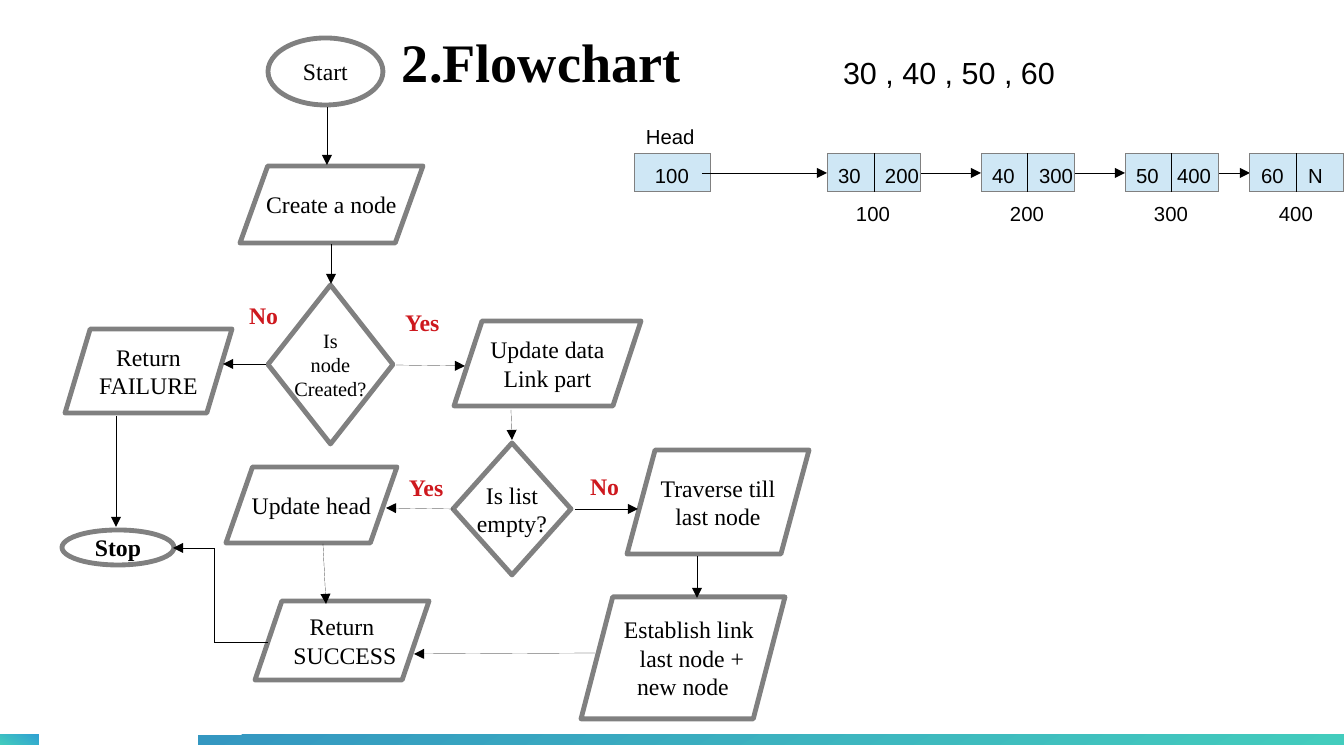
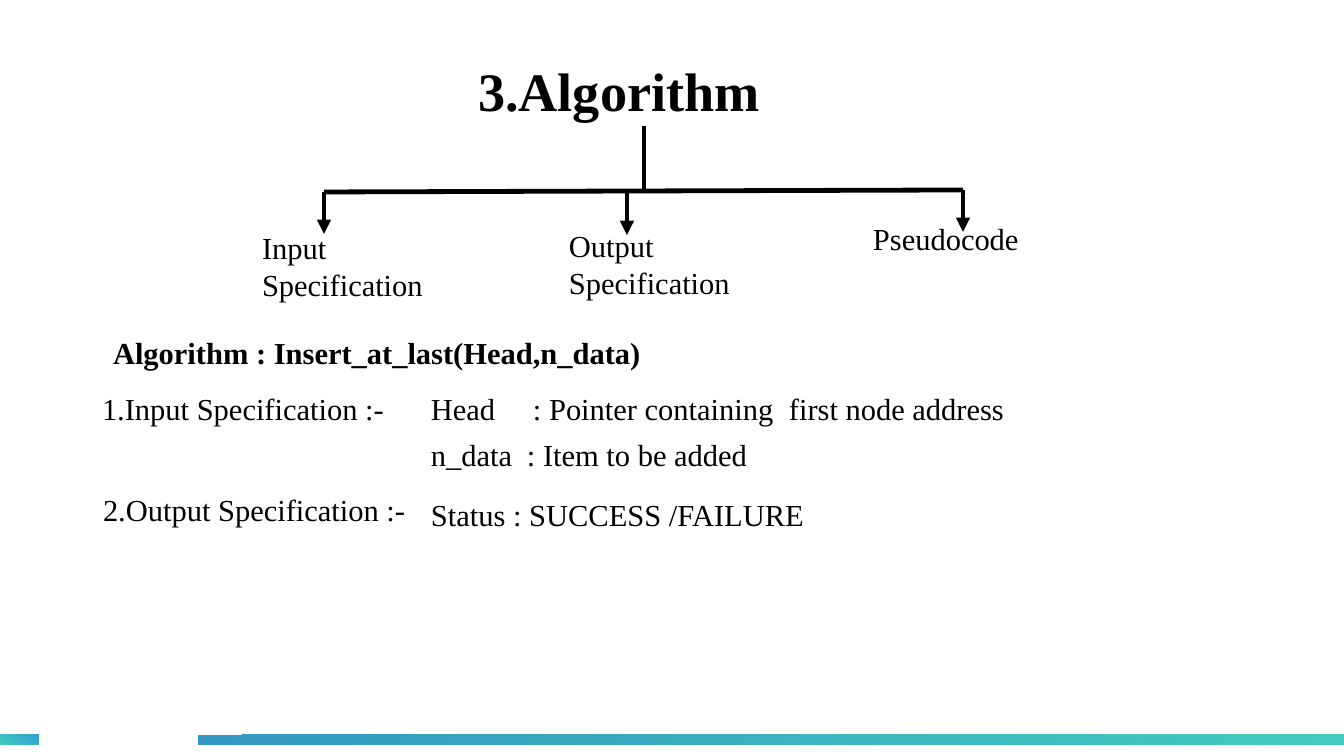
from dataclasses import dataclass
from itertools import pairwise

from lxml.etree import SubElement
from pptx import Presentation
from pptx.dml.color import RGBColor
from pptx.enum.shapes import MSO_CONNECTOR, MSO_SHAPE
from pptx.enum.text import MSO_ANCHOR, PP_ALIGN
from pptx.oxml.ns import qn
from pptx.util import Emu, Pt


@dataclass(frozen=True)
class Theme:
    serif: str = "Times New Roman"
    sans: str = "Arial"
    ink: str = "000000"
    paper: str = "FFFFFF"
    edge: str = "808080"
    cell: str = "CFE7F5"
    alert: str = "CE181E"
    mint: str = "43CCBD"
    sky: str = "30A2D2"
    blue: str = "3497C1"
    title: int = 32
    body: int = 18
    step: int = 14
    note: int = 12
    thick: float = 2.83


T = Theme()
WIDE, HIGH = 1344, 756


def px(n):
    return Emu(n * 7495)


def rgb(code):
    return RGBColor.from_string(code)


# Text
def write(frame, lines, size, face=T.serif, tone=T.ink, bold=False,
          align=PP_ALIGN.LEFT, tabs=()):
    """Each line is a string, or a pair of string and left margin."""
    for i, line in enumerate(lines):
        text, shift = (line, 0) if isinstance(line, str) else line
        para = frame.paragraphs[0] if i == 0 else frame.add_paragraph()
        para.text = text
        para.alignment = align
        props = para._p.get_or_add_pPr()
        if shift:
            props.set("marL", str(px(shift)))
        if tabs:
            stops = SubElement(props, qn("a:tabLst"))
            for tab in tabs:
                SubElement(stops, qn("a:tab"), pos=str(px(tab)), algn="l")
        font = para.font
        font.name, font.size, font.bold = face, Pt(size), bold
        font.color.rgb = rgb(tone)


def label(slide, text, x, y, w, h=38, size=T.body, **style):
    frame = slide.shapes.add_textbox(*map(px, (x, y, w, h))).text_frame
    frame.word_wrap = True
    write(frame, [text], size, **style)
    return frame


def title(slide, text, x, y, w, h):
    frame = label(slide, text, x, y, w, h, T.title, bold=True)
    frame.vertical_anchor = MSO_ANCHOR.MIDDLE
    frame.margin_left = frame.margin_right = 0
    frame.margin_top = frame.margin_bottom = 0


# Shapes and lines
def stroke(item, tone, width):
    """Write the width out even at 0, where it means a hairline."""
    item.line.color.rgb = rgb(tone)
    edge = item._element.spPr.find(qn("a:ln"))
    edge.set("w", str(Pt(width)))
    return edge


def block(slide, kind, x, y, w, h, fill=T.paper, width=0):
    shape = slide.shapes.add_shape(kind, *map(px, (x, y, w, h)))
    shape.shadow.inherit = False
    shape.fill.solid()
    shape.fill.fore_color.rgb = rgb(fill)
    stroke(shape, T.edge, width)
    return shape


def step(slide, kind, box, lines, slant=None, size=T.step, bold=False):
    shape = block(slide, kind, *box, width=2.86)
    if slant:
        shape.adjustments[0] = slant
    frame = shape.text_frame
    frame.word_wrap = False
    frame.vertical_anchor = MSO_ANCHOR.MIDDLE
    frame.margin_left = frame.margin_right = px(2)
    frame.margin_top = frame.margin_bottom = px(2)
    write(frame, lines, size, bold=bold, align=PP_ALIGN.CENTER)


def line(slide, x1, y1, x2, y2, width=0, head=True, bend=None):
    kind = MSO_CONNECTOR.ELBOW if bend else MSO_CONNECTOR.STRAIGHT
    link = slide.shapes.add_connector(kind, *map(px, (x1, y1, x2, y2)))
    edge = stroke(link, T.ink, width)
    props = link._element.spPr
    if head:
        SubElement(edge, qn("a:tailEnd"), type="triangle")
    if bend:
        guides = props.find(qn("a:prstGeom")).get_or_add_avLst()
        SubElement(guides, qn("a:gd"), name="adj1", fmla=f"val {bend}")
    SubElement(props, qn("a:effectLst"))


# Shared footer bands
def band(slide, x, w, start, end, angle):
    shape = block(slide, MSO_SHAPE.RECTANGLE, x, 735, w, 10)
    shape.line.fill.background()
    shape.fill.gradient()
    shape.fill.gradient_angle = angle
    for stop, tone in zip(shape.fill.gradient_stops, (start, end)):
        stop.color.rgb = rgb(tone)


def page(deck):
    slide = deck.slides.add_slide(deck.slide_layouts[6])
    band(slide, 0, 39, T.mint, T.sky, 60)
    band(slide, 198, WIDE - 198, T.blue, T.mint, 300)
    return slide


# Linked list
def chain(slide):
    top, tall, wide = 154, 38, 94
    half = wide // 2
    mid = top + tall // 2
    note = dict(size=T.note, face=T.sans)
    nodes = [(827, "30", "200", "100", 46), (981, "40", "300", "200", 46),
             (1125, "50", "400", "300", 40), (1250, "60", "N", "400", 46)]

    label(slide, "30 , 40 , 50 , 60", 831, 48, 260, face=T.sans)
    label(slide, "Head", 634, 118, 85, **note)
    block(slide, MSO_SHAPE.RECTANGLE, 634, top, 77, tall, T.cell)
    label(slide, "100", 643, 157, 68, **note)
    line(slide, 702, mid, nodes[0][0], mid)
    for left, right in pairwise(nodes):
        line(slide, left[0] + wide, mid, right[0], mid)
    for x, data, link, place, inset in nodes:
        block(slide, MSO_SHAPE.RECTANGLE, x, top, wide, tall, T.cell)
        line(slide, x + half, top, x + half, top + tall, head=False)
        label(slide, data, x - 1, 157, 62, **note)
        label(slide, link, x + inset, 157, 67, **note)
        label(slide, place, x + 17, 195, 68, **note)


def flow(deck):
    slide = page(deck)
    title(slide, "2.Flowchart", 402, 17, 288, 87)

    # Steps
    oval, rhomb = MSO_SHAPE.OVAL, MSO_SHAPE.DIAMOND
    step(slide, oval, (268, 38, 115, 67), ["Start"])
    step(slide, oval, (62, 530, 112, 35), ["Stop"], bold=True)
    step(slide, rhomb, (268, 285, 125, 159), ["Is", "node", "Created?"],
         size=T.note)
    step(slide, rhomb, (453, 443, 118, 132), ["Is list", "empty?"])
    for box, slant, lines in [
        ((240, 166, 183, 77), 0.36, ["Create a node"]),
        ((65, 329, 167, 84), 0.3, ["Return", "FAILURE"]),
        ((454, 321, 187, 85), 0.33, ["Update data", "Link part"]),
        ((627, 450, 182, 104), 0.27, ["Traverse till", "last node"]),
        ((226, 467, 171, 76), 0.35, ["Update head"]),
        ((255, 601, 174, 79), 0.34, ["Return", ("SUCCESS", 6)]),
        ((581, 597, 204, 122), 0.26,
         [("Establish link", 12), ("last node +", 18), "new node"]),
    ]:
        step(slide, MSO_SHAPE.PARALLELOGRAM, box, lines, slant)

    # Arrows
    for ends in [
        (327, 107, 327, 165), (331, 244, 331, 284), (396, 365, 465, 366),
        (266, 364, 223, 364), (511, 410, 512, 440), (453, 509, 386, 508),
        (323, 544, 326, 604), (595, 653, 414, 654), (575, 509, 638, 509),
        (116, 416, 116, 527), (697, 556, 697, 598),
    ]:
        line(slide, *ends)
    line(slide, 268, 642, 173, 548, bend=57100)

    # Branch labels
    for text, x, y in [("Yes", 393, 302), ("Yes", 397, 467),
                       ("No", 237, 295), ("No", 578, 466)]:
        label(slide, text, x, y, 70, size=T.step, tone=T.alert, bold=True)
    chain(slide)


def plan(deck):
    slide = page(deck)
    title(slide, "3.Algorithm", 478, 34, 379, 112)

    # Tree
    line(slide, 644, 126, 644, 190, T.thick, head=False)
    line(slide, 324, 192, 963, 190, T.thick, head=False)
    for x, y in [(324, 192), (627, 193), (963, 190)]:
        line(slide, x, y, x, y + 42, T.thick)
    for text, x, y, w in [("Input Specification", 250, 223, 223),
                          ("Output Specification", 557, 221, 201),
                          ("Pseudocode", 861, 214, 183)]:
        label(slide, text, x, y, w, 90)

    # Specification
    label(slide, "Algorithm : Insert_at_last(Head,n_data)", 101, 328, 580,
          bold=True)
    for text, x, y, tabs in [
        ("1.Input Specification :-", 90, 384, ()),
        ("Head\t: Pointer containing\tfirst node address", 419, 384, (102, 358)),
        ("n_data\t: Item to be added", 419, 430, (96,)),
        ("2.Output Specification :-", 91, 485, ()),
        ("Status : SUCCESS /FAILURE", 419, 490, ()),
    ]:
        label(slide, text, x, y, 637 if x == 419 else 340, tabs=tabs)


def main():
    deck = Presentation()
    deck.slide_width, deck.slide_height = px(WIDE), px(HIGH)
    flow(deck)
    plan(deck)
    deck.save("out.pptx")


if __name__ == "__main__":
    main()
